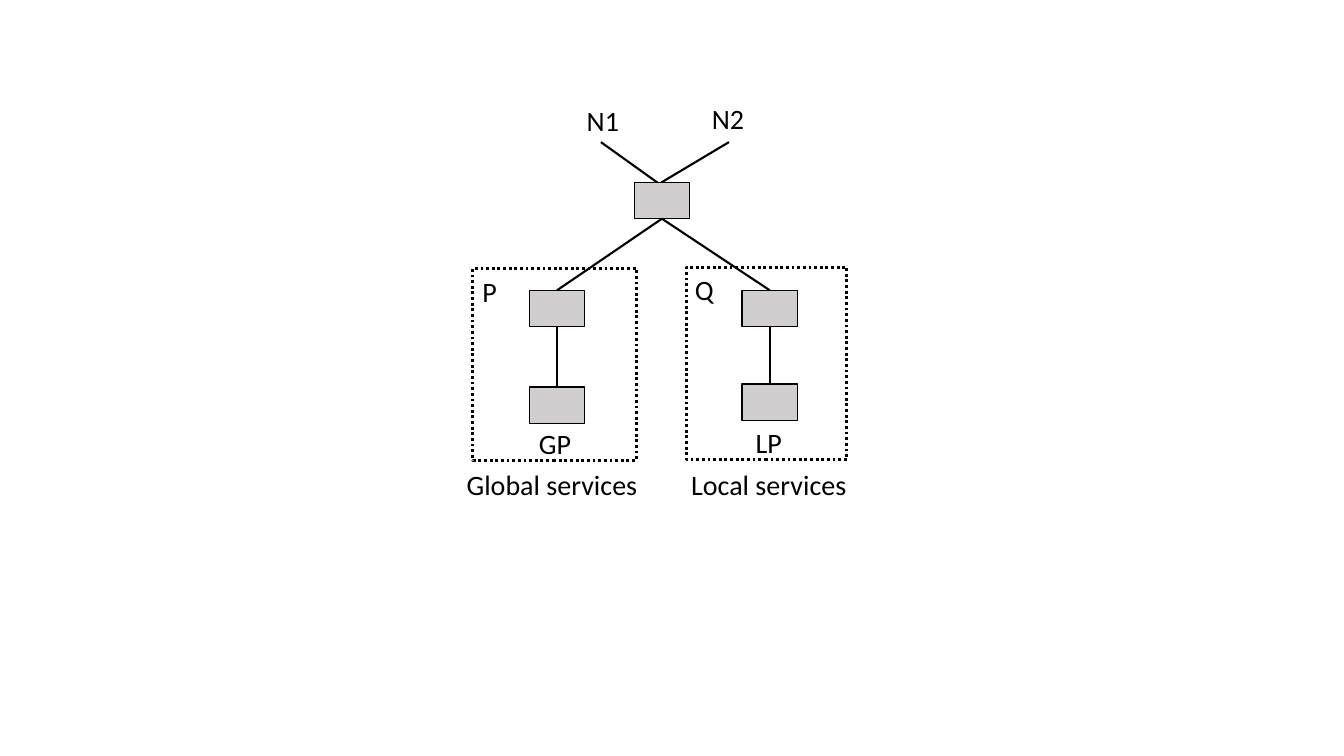
"""Build a slide showing a node tree with global and local services."""
from pptx import Presentation, util as u
from pptx.dml.color import RGBColor
from pptx.enum import dml, shapes, text

HUES = {"ink": "000000", "node": "D0CECE"}
FONT, SIZE = "Calibri", 20
NODE = (0.55, 0.36)
TALL = 0.44

ROOT = (6.29, 1.81)
FRAMES = [(4.69, 2.66, 1.62, 1.91), (6.81, 2.65, 1.59, 1.91)]
PAIRS = [((5.25, 2.88), (5.25, 3.84)), ((7.36, 2.88), (7.36, 3.81))]
TIPS = [((5.96, 1.41), (6.56, 1.84)), ((7.23, 1.41), (6.56, 1.81))]
LABELS = [
    ("N1", 5.3, 0.98, 1.36),
    ("N2", 6.54, 0.96, 1.36),
    ("P", 4.47, 2.67, 0.77),
    ("Q", 6.6, 2.65, 0.77),
    ("GP", 5.12, 4.18, 0.77),
    ("LP", 7.28, 4.17, 0.69),
    ("Global services", 4.39, 4.59, 2.17),
    ("Local services", 6.54, 4.59, 2.17),
]


def hue(name):
    return RGBColor.from_string(HUES[name])


def rect(slide, x, y, wide, high, weight):
    box = slide.shapes.add_shape(
        shapes.MSO_SHAPE.RECTANGLE, *map(u.Inches, (x, y, wide, high)))
    box.shadow.inherit = False
    box.line.color.rgb = hue("ink")
    box.line.width = u.Pt(weight)
    return box


def node(slide, spot):
    box = rect(slide, *spot, *NODE, 1)
    box.fill.solid()
    box.fill.fore_color.rgb = hue("node")
    return box


def frame(slide, area):
    box = rect(slide, *area, 2)
    box.fill.background()
    box.line.dash_style = dml.MSO_LINE.ROUND_DOT


def line(slide, start=(0, 0), end=(0, 0)):
    link = slide.shapes.add_connector(
        shapes.MSO_CONNECTOR.STRAIGHT, *map(u.Inches, (*start, *end)))
    link.line.color.rgb = hue("ink")
    link.line.width = u.Pt(1.5)
    props = link._element.spPr
    props.append(props.makeelement(
        "{http://schemas.openxmlformats.org/drawingml/2006/main}effectLst", {}))
    return link


def join(slide, upper, lower):
    link = line(slide)
    link.begin_connect(upper, 2)
    link.end_connect(lower, 0)


def label(slide, words, x, y, wide):
    box = slide.shapes.add_textbox(*map(u.Inches, (x, y, wide, TALL)))
    box.text_frame.word_wrap = True
    para = box.text_frame.paragraphs[0]
    para.text = words
    para.alignment = text.PP_ALIGN.CENTER
    para.font.name = FONT
    para.font.size = u.Pt(SIZE)
    para.font.color.rgb = hue("ink")


def main():
    deck = Presentation()
    deck.slide_width, deck.slide_height = u.Inches(13.33), u.Inches(7.5)
    slide = deck.slides.add_slide(deck.slide_layouts[6])
    for start, end in TIPS:
        line(slide, start, end)
    root = node(slide, ROOT)
    for area, pair in zip(FRAMES, PAIRS):
        frame(slide, area)
        upper, lower = (node(slide, spot) for spot in pair)
        join(slide, root, upper)
        join(slide, upper, lower)
    for entry in LABELS:
        label(slide, *entry)
    deck.save("out.pptx")


if __name__ == "__main__":
    main()
